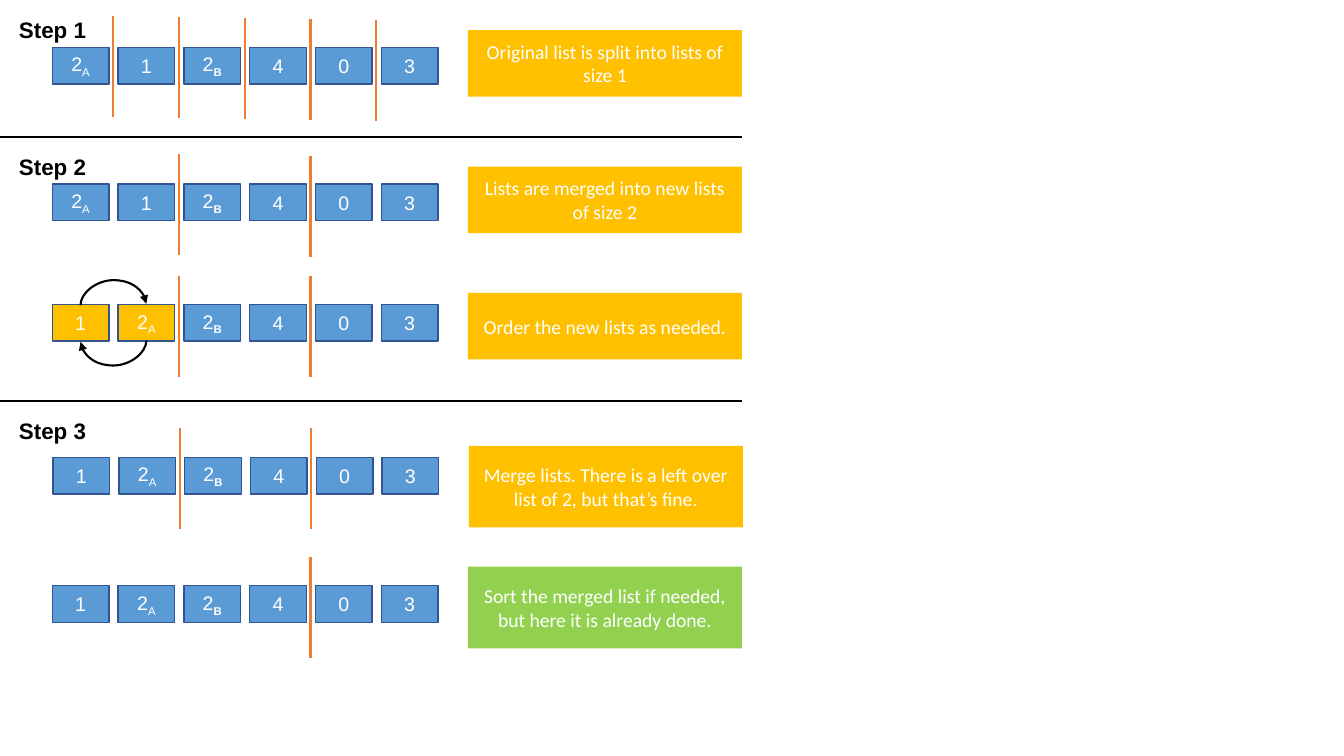
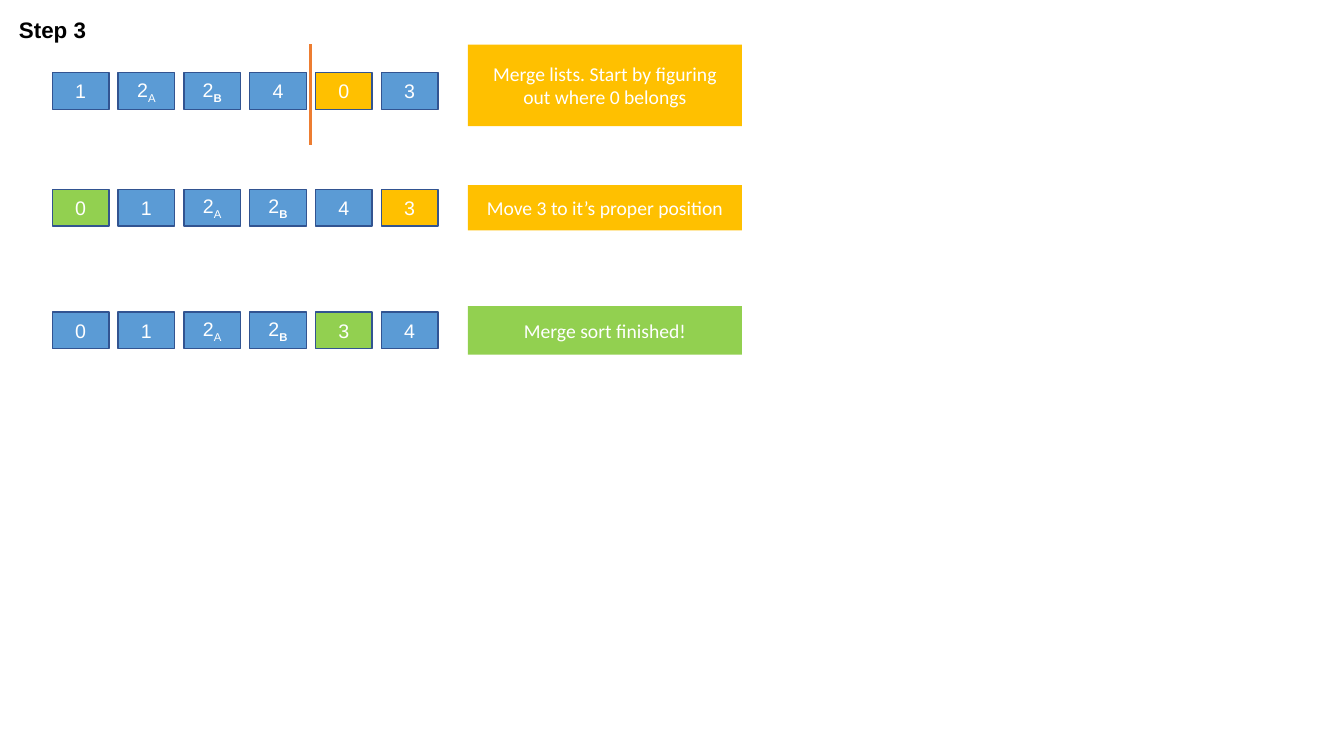
from lxml.etree import SubElement
from pptx import Presentation
from pptx.dml.color import RGBColor
from pptx.enum.shapes import MSO_CONNECTOR, MSO_SHAPE
from pptx.enum.text import MSO_ANCHOR, PP_ALIGN
from pptx.oxml.ns import qn
from pptx.util import Pt

BLUE, NAVY, ORANGE = "5B9BD5", "325491", "ED7D31"
AMBER, GREEN, WHITE, BLACK = "FFC000", "92D050", "FFFFFF", "000000"

# Content: steps are (text, top), rules are tops.
# Each row holds its cells, list splits (number of cells to the left),
# highlighted cells, swapped pair and note (text, colour, top, height).
SLIDES = [
    dict(
        steps=[("Step 1", 8), ("Step 2", 106), ("Step 3", 294.5)],
        rules=[98, 286.5],
        rows=[
            dict(cells="2A 1 2B 4 0 3", top=33.8, splits=[1, 2, 3, 4, 5],
                 split_top=11.5, split_drop=0.7,
                 note=("Original list is split into lists of size 1", AMBER, 21.5, 47.5)),
            dict(cells="2A 1 2B 4 0 3", top=131.5, splits=[2, 4],
                 split_top=109.5, split_drop=0.7,
                 note=("Lists are merged into new lists of size 2", AMBER, 119, 47.5)),
            dict(cells="1 2A 2B 4 0 3", top=217.5, splits=[2, 4], split_top=197.3,
                 marked={0: AMBER, 1: AMBER}, swap=(0, 1),
                 note=("Order the new lists as needed.", AMBER, 209.3, 47.5)),
            dict(cells="1 2A 2B 4 0 3", top=326.7, splits=[2, 4], split_top=306, shift=0.6,
                 note=("Merge lists. There is a left over list of 2, but that’s fine.",
                       AMBER, 318.5, 58.3)),
            dict(cells="1 2A 2B 4 0 3", top=418.3, splits=[4], split_top=398,
                 note=("Sort the merged list if needed, but here it is already done.",
                       GREEN, 404.8, 58.3)),
        ],
    ),
    dict(
        steps=[("Step 3", 8)],
        rules=[],
        rows=[
            dict(cells="1 2A 2B 4 0 3", top=51.9, splits=[4], split_top=31.6,
                 marked={4: AMBER},
                 note=("Merge lists. Start by figuring out where 0 belongs",
                       AMBER, 31.8, 58.3)),
            dict(cells="0 1 2A 2B 4 3", top=135.3, marked={0: GREEN, 5: AMBER},
                 note=("Move 3 to it’s proper position", AMBER, 132.2, 32.3)),
            dict(cells="0 1 2A 2B 3 4", top=222.9, marked={4: GREEN},
                 note=("Merge sort finished!", GREEN, 218.7, 34.6)),
        ],
    ),
]

# Shared grid
CELL_LEFT, CELL_PITCH, CELL_W, CELL_H = 37.3, 47, 40.5, 26.2
SPLIT_GAP, SPLIT_H = 3.5, 72
NOTE_LEFT, NOTE_W = 334.3, 195.7
ARC_DEPTH = 18


def rgb(value):
    return RGBColor.from_string(value)


def style(paragraph, size, face, colour, bold=None):
    font = paragraph.font
    font.size, font.name, font.bold = Pt(size), face, bold
    font.color.rgb = rgb(colour)


def add_box(slide, left, top, width, height, fill, face, border=None):
    """Filled rectangle; returns its centred paragraph."""
    box = slide.shapes.add_shape(MSO_SHAPE.RECTANGLE, Pt(left), Pt(top), Pt(width), Pt(height))
    box.shadow.inherit = False
    box.fill.solid()
    box.fill.fore_color.rgb = rgb(fill)
    if border:
        box.line.color.rgb = rgb(border)
        box.line.width = Pt(1)
    else:
        box.line.fill.background()
    box.text_frame.vertical_anchor = MSO_ANCHOR.MIDDLE
    paragraph = box.text_frame.paragraphs[0]
    paragraph.alignment = PP_ALIGN.CENTER
    style(paragraph, 14, face, WHITE)
    return paragraph


def add_line(slide, x1, y1, x2, y2, colour, kind=MSO_CONNECTOR.STRAIGHT):
    line = slide.shapes.add_connector(kind, Pt(x1), Pt(y1), Pt(x2), Pt(y2))
    line.line.color.rgb = rgb(colour)
    line.line.width = Pt(1.5)
    SubElement(line._element.spPr, qn("a:effectLst"))
    return line


def add_step(slide, text, top):
    label = slide.shapes.add_textbox(Pt(6.5), Pt(top), Pt(63.5), Pt(26.6))
    label.text_frame.word_wrap = False
    paragraph = label.text_frame.paragraphs[0]
    paragraph.text = text
    style(paragraph, 16, "Arial", BLACK, bold=True)


def add_cell(slide, value, left, top, fill):
    paragraph = add_box(slide, left, top, CELL_W, CELL_H, fill, "Arial", NAVY)
    paragraph.add_run().text = value[0]
    if value[1:]:
        subscript = paragraph.add_run()
        subscript.text = value[1:]
        subscript.font._element.set("baseline", "-25000")
        if value[1:] == "B":
            subscript.font.bold = True


def add_arc(slide, centre_x, y, span, upward):
    """Arrow bulging ARC_DEPTH points up (left to right) or down (right to left)."""
    # A one-point-wide connector turned by 90 degrees
    start = (centre_x - 0.5, y - span / 2)
    end = (centre_x + 0.5, y + span / 2)
    if upward:
        start, end = end, start
    arc = add_line(slide, *start, *end, BLACK, MSO_CONNECTOR.CURVE)
    properties = arc._element.spPr
    properties.find(qn("a:xfrm")).set("rot", str(90 * 60000))
    geometry = properties.find(qn("a:prstGeom"))
    adjustments = geometry.find(qn("a:avLst"))
    if adjustments is None:
        adjustments = SubElement(geometry, qn("a:avLst"))
    SubElement(adjustments, qn("a:gd"), name="adj1", fmla=f"val {ARC_DEPTH * 100000}")
    SubElement(properties.find(qn("a:ln")), qn("a:tailEnd"), type="triangle")


def add_row(slide, cells, top, note, splits=(), split_top=0, split_drop=0,
            marked=None, swap=None, shift=0):
    row_left = CELL_LEFT + shift
    for i, value in enumerate(cells.split()):
        fill = (marked or {}).get(i, BLUE)
        add_cell(slide, value, row_left + i * CELL_PITCH, top, fill)

    # Lines between the lists
    for count in splits:
        x = row_left + count * CELL_PITCH - SPLIT_GAP
        y = split_top + (count - 1) * split_drop
        add_line(slide, x, y, x, y + SPLIT_H, ORANGE)

    # Swap arrows above and below the pair
    if swap:
        first, second = swap
        centre_x = row_left + CELL_W / 2 + (first + second) / 2 * CELL_PITCH
        span = (second - first) * CELL_PITCH
        add_arc(slide, centre_x, top, span, upward=True)
        add_arc(slide, centre_x, top + CELL_H, span, upward=False)

    text, fill, note_top, note_height = note
    add_box(slide, NOTE_LEFT + shift, note_top, NOTE_W, note_height, fill, "Calibri").text = text


def main():
    deck = Presentation()
    deck.slide_width, deck.slide_height = Pt(960), Pt(540)
    for content in SLIDES:
        slide = deck.slides.add_slide(deck.slide_layouts[6])
        for text, top in content["steps"]:
            add_step(slide, text, top)
        for y in content["rules"]:
            add_line(slide, 0, y, NOTE_LEFT + NOTE_W, y, BLACK)
        for row in content["rows"]:
            add_row(slide, **row)
    deck.save("out.pptx")


if __name__ == "__main__":
    main()
